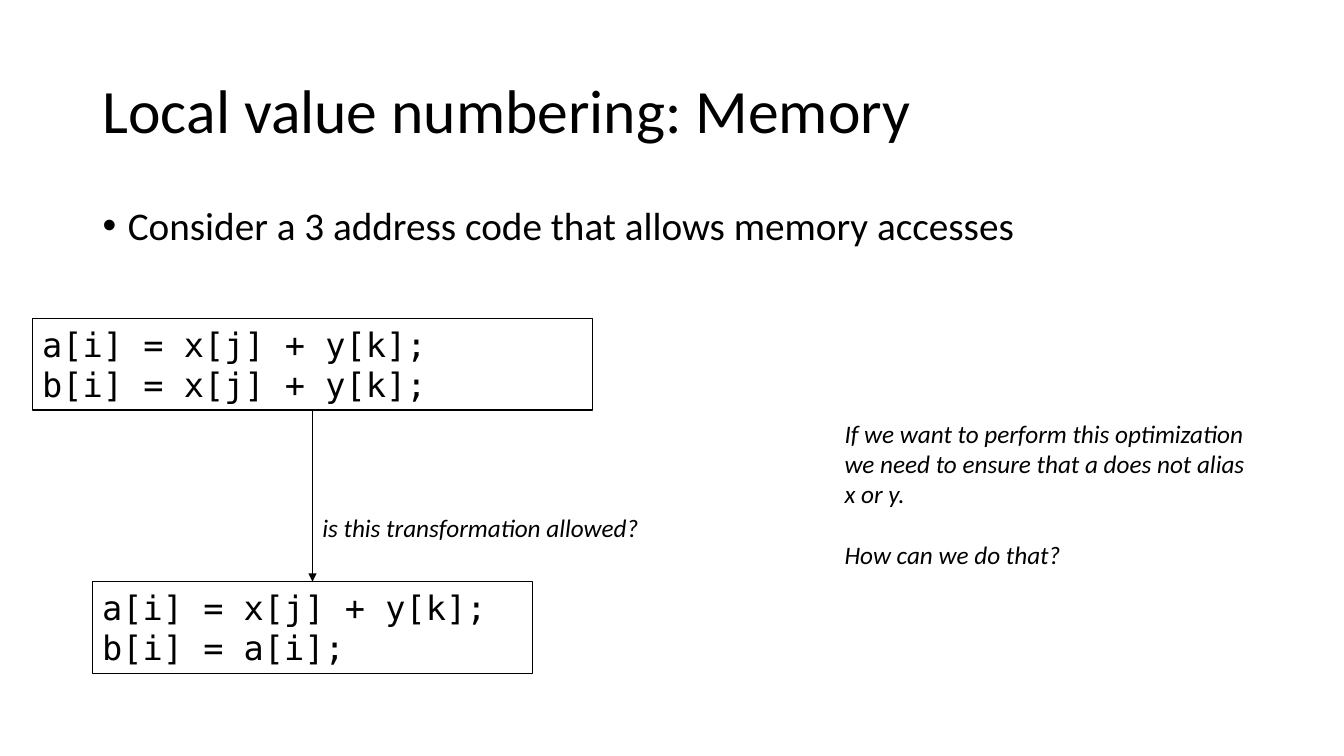
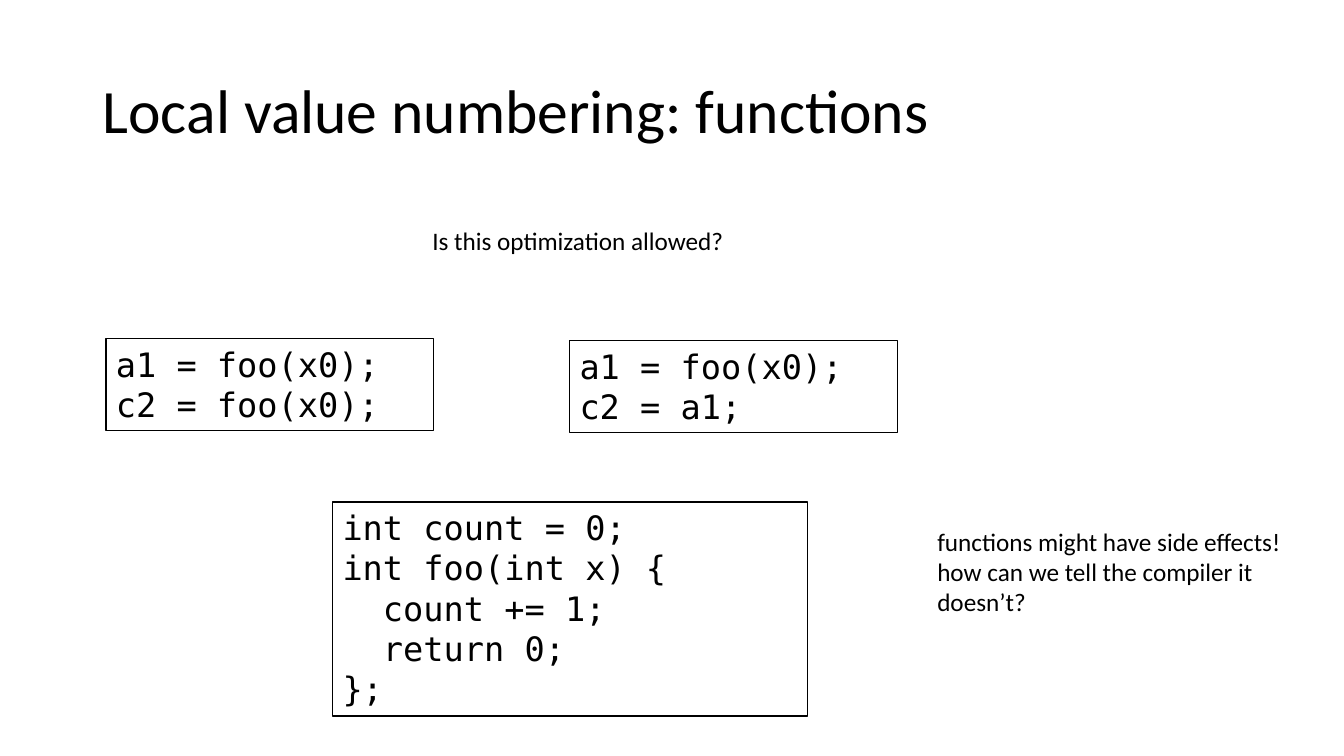
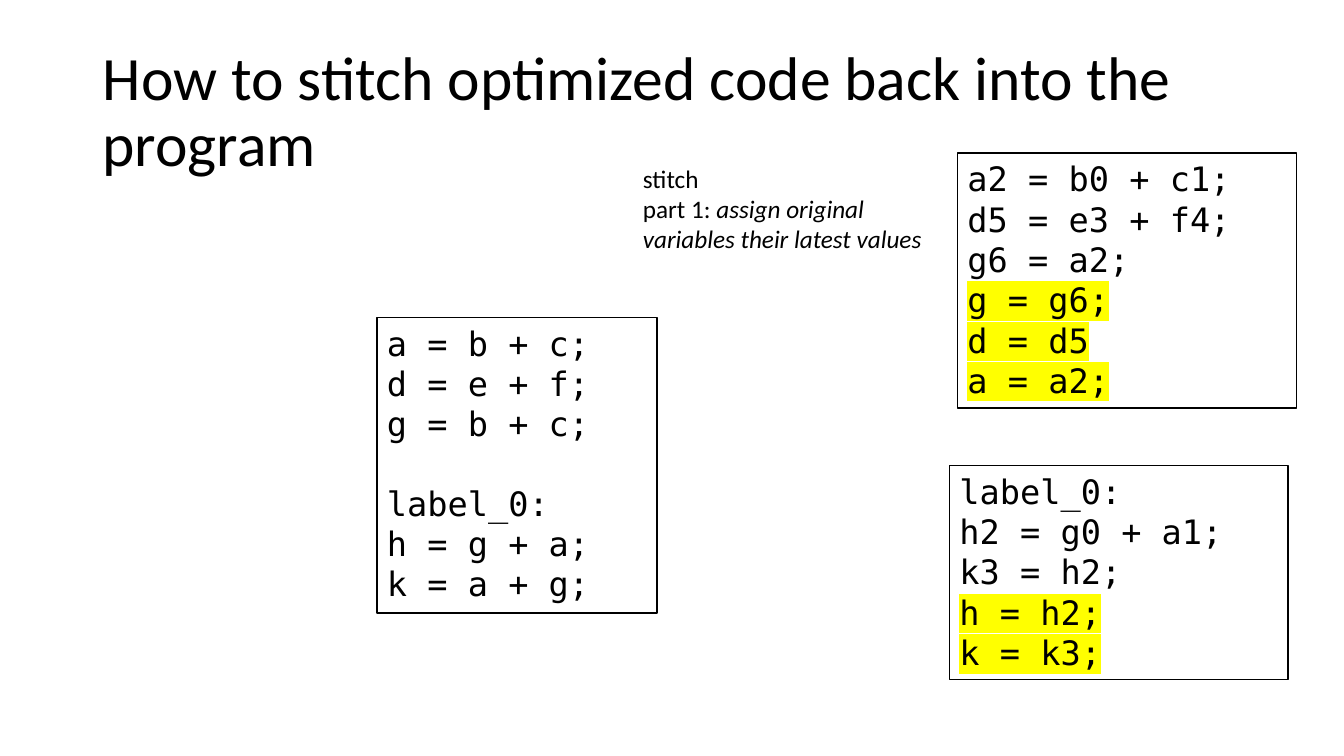
from typing import NamedTuple

from lxml.etree import SubElement
from pptx import Presentation
from pptx.dml.color import RGBColor
from pptx.enum.shapes import MSO_CONNECTOR, MSO_SHAPE
from pptx.enum.text import MSO_ANCHOR, PP_ALIGN
from pptx.oxml.ns import qn
from pptx.util import Inches, Pt

BLACK = RGBColor(0x00, 0x00, 0x00)
WHITE = RGBColor(0xFF, 0xFF, 0xFF)
YELLOW = RGBColor(0xFF, 0xFF, 0x00)

SANS = "Calibri"
MONO = "DejaVu Sans Mono"
HEAD = {"name": SANS, "size": Pt(44)}
BODY = {"name": SANS, "size": Pt(28)}
NOTE = {"name": SANS, "size": Pt(18)}
SLANT = {**NOTE, "italic": True}
CODE = {"name": MONO, "size": Pt(24)}

WIDE, HIGH = Inches(13.33), Inches(7.5)
PAD, LEAD = 1.35, 5.39


class Box(NamedTuple):
    """A region of the slide, cut into parts by percent shares."""
    x: int
    y: int
    w: int
    h: int

    def cut(self, x, y, w, h):
        """Return the part at the given percent shares."""
        return Box(self.x + round(self.w * x / 100), self.y + round(self.h * y / 100),
                   round(self.w * w / 100), round(self.h * h / 100))


class Line(NamedTuple):
    """One line of text: its runs, the space above it and its marker colour."""
    runs: tuple
    gap: int = 0
    mark: RGBColor = None


PAGE = Box(0, 0, WIDE, HIGH)


def plain(text, form, gap=0, mark=None):
    """Return a line with a single run."""
    return Line(((text, form),), gap, mark)


def lines(text, form, mark=None):
    """Return one line for each row of the text."""
    return [plain(row, form, mark=mark) for row in text.split("\n")]


def style(run, form, mark):
    """Apply the format values and the marker colour to a run."""
    run.font.color.rgb = BLACK
    for key, val in form.items():
        setattr(run.font, key, val)
    if mark:
        glow = SubElement(run.font._element, qn("a:highlight"))
        SubElement(glow, qn("a:srgbClr"), val=str(mark))
        run.font._element.find(qn("a:solidFill")).addnext(glow)


def write(shape, rows, anchor=MSO_ANCHOR.TOP):
    """Fill the shape with left-aligned lines and return its text frame."""
    frame = shape.text_frame
    frame.word_wrap = True
    frame.vertical_anchor = anchor
    for num, row in enumerate(rows):
        para = frame.add_paragraph() if num else frame.paragraphs[0]
        para.alignment = PP_ALIGN.LEFT
        if row.gap:
            para.space_before = row.gap
        for text, form in row.runs:
            run = para.add_run()
            run.text = text
            style(run, form, row.mark)
    return frame


def note(slide, box, rows):
    """Place free text in the box."""
    return write(slide.shapes.add_textbox(*box), rows)


def title(slide, box, text):
    """Place the slide title in the box, centred in height."""
    frame = write(slide.shapes.add_textbox(*box), lines(text, HEAD), MSO_ANCHOR.MIDDLE)
    frame.paragraphs[0].line_spacing = 0.9


def bullet(slide, box, text):
    """Place one bulleted line in the box."""
    para = note(slide, box, lines(text, BODY)).paragraphs[0]
    para.line_spacing = 0.9
    props = para._p.get_or_add_pPr()
    props.set("marL", str(Inches(0.25)))
    props.set("indent", str(-Inches(0.25)))
    SubElement(props, qn("a:buFont"), typeface="Arial")
    SubElement(props, qn("a:buChar"), char="•")


def tall(count):
    """Return the height of a code frame for a count of lines."""
    return round(HIGH * (PAD + LEAD * count) / 100)


def code(slide, box, rows):
    """Place a framed listing at the top of the box, as tall as its lines."""
    count = len(rows) + sum(bool(row.gap) for row in rows)
    rect = slide.shapes.add_shape(MSO_SHAPE.RECTANGLE, box.x, box.y, box.w, tall(count))
    rect.shadow.inherit = False
    rect.fill.solid()
    rect.fill.fore_color.rgb = WHITE
    rect.line.color.rgb = BLACK
    rect.line.width = Pt(1)
    write(rect, rows)
    return rect


def arrow(slide, top, low):
    """Join the bottom of one frame to the top of the next."""
    link = slide.shapes.add_connector(MSO_CONNECTOR.STRAIGHT, 0, 0, 0, 0)
    link.begin_connect(top, 2)
    link.end_connect(low, 0)
    link.line.color.rgb = BLACK
    link.line.width = Pt(0.5)
    SubElement(link.line._get_or_add_ln(), qn("a:tailEnd"), type="triangle")
    SubElement(link._element.spPr, qn("a:effectLst"))


def flow(slide, box, start, label, end):
    """Place two listings on one axis, with a labelled arrow between."""
    top = code(slide, box.cut(0, 0, 100, 0), lines(start, CODE))
    rows = lines(end, CODE)
    base = box.cut(10.7, 100, 78.6, 0)
    low = code(slide, base._replace(y=base.y - tall(len(rows))), rows)
    arrow(slide, top, low)
    note(slide, box.cut(50, 53.1, 64, 12), lines(label, SLANT))


def start(deck, text):
    """Add a blank slide with its title."""
    slide = deck.slides.add_slide(deck.slide_layouts[6])
    title(slide, PAGE.cut(6.9, 5.33, 86.25, 19.33), text)
    return slide


def memory(deck, page):
    """Build the slide on memory accesses."""
    slide = start(deck, "Local value numbering: Memory")
    bullet(slide, page.cut(6.9, 26.67, 86.25, 10.93),
           "Consider a 3 address code that allows memory accesses")
    flow(slide, page.cut(2.4, 42.13, 41.7, 46.93),
         "a[i] = x[j] + y[k];\nb[i] = x[j] + y[k];",
         "is this transformation allowed?",
         "a[i] = x[j] + y[k];\nb[i] = a[i];")
    note(slide, page.cut(62.1, 54.67, 34, 21.6), [
        *lines("If we want to perform this optimization\n"
               "we need to ensure that a does not alias\nx or y.", SLANT),
        plain("How can we do that?", SLANT, Pt(22))])


def calls(deck, page):
    """Build the slide on function calls."""
    slide = start(deck, "Local value numbering: functions")
    note(slide, page.cut(31.43, 29.2, 24.5, 5.33),
         lines("Is this optimization allowed?", NOTE))
    for x, y, w, text in (
            (7.88, 44.8, 24.38, "a1 = foo(x0);\nc2 = foo(x0);"),
            (42.38, 45.07, 24.38, "a1 = foo(x0);\nc2 = a1;"),
            (24.75, 66.4, 35.33,
             "int count = 0;\nint foo(int x) {\n  count += 1;\n  return 0;\n};")):
        code(slide, page.cut(x, y, w, 0), lines(text, CODE))
    note(slide, page.cut(69, 68.93, 29, 13.47),
         lines("functions might have side effects!\n"
               "how can we tell the compiler it\ndoesn’t?", NOTE))


def stitch(deck, page):
    """Build the slide on putting optimized code back."""
    slide = start(deck, "How to stitch optimized code back into the program")
    note(slide, page.cut(47.1, 20.93, 24, 13.47), [
        plain("stitch", NOTE),
        Line((("part 1: ", NOTE), ("assign original", SLANT))),
        plain("variables their latest values", SLANT)])
    for x, y, text, last in (
            (71.25, 20.27, "a2 = b0 + c1;\nd5 = e3 + f4;\ng6 = a2;",
             "g = g6;\nd = d5\na = a2;"),
            (70.65, 61.6, "label_0:\nh2 = g0 + a1;\nk3 = h2;", "h = h2;\nk = k3;")):
        code(slide, page.cut(x, y, 25.2, 0),
             lines(text, CODE) + lines(last, CODE, YELLOW))
    code(slide, page.cut(28.05, 42, 20.85, 0), [
        *lines("a = b + c;\nd = e + f;\ng = b + c;", CODE),
        plain("label_0:", CODE, Pt(28)),
        *lines("h = g + a;\nk = a + g;", CODE)])


def main():
    """Build and save the deck."""
    deck = Presentation()
    deck.slide_width, deck.slide_height = WIDE, HIGH
    for build in (memory, calls, stitch):
        build(deck, PAGE)
    deck.save("out.pptx")


if __name__ == "__main__":
    main()
